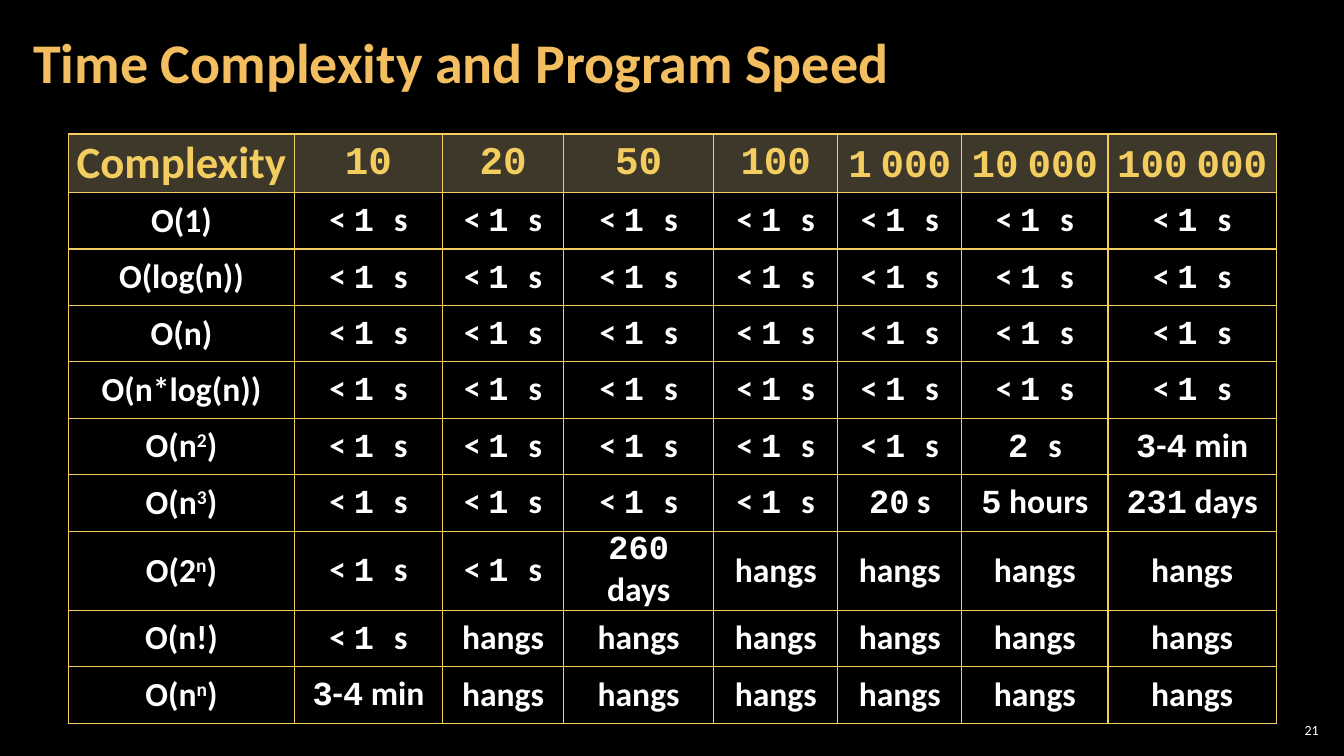
from lxml import etree
from pptx import Presentation
from pptx.dml.color import RGBColor
from pptx.enum.text import MSO_ANCHOR, MSO_AUTO_SIZE, PP_ALIGN
from pptx.oxml.ns import qn
from pptx.util import Inches, Pt

MIDDLE = MSO_ANCHOR.MIDDLE
NO_FIT = MSO_AUTO_SIZE.NONE
LEFT, CENTER, RIGHT = PP_ALIGN.LEFT, PP_ALIGN.CENTER, PP_ALIGN.RIGHT

BLACK = RGBColor(0x00, 0x00, 0x00)
WHITE = RGBColor(0xFF, 0xFF, 0xFF)
ORANGE = RGBColor(0xF3, 0xBE, 0x60)
GOLD = RGBColor(0xF3, 0xCD, 0x60)
OLIVE = RGBColor(0x7C, 0x71, 0x54)
SANS, MONO = "Calibri", "Courier New"

# Backticks enclose monospaced text, carets enclose superscripts.
FAST, MINUTES, HANGS = "< `1 `s", "`3`-`4` min", "hangs"
HEADERS = ["Complexity", "`10`", "`20`", "`50`", "`100`",
           "`1` `000`", "`10` `000`", "`100` `000`"]
ROWS = [
    *([name] + [FAST] * 7 for name in ("O(1)", "O(log(n))", "O(n)", "O(n*log(n))")),
    ["O(n^2^)"] + [FAST] * 5 + ["`2 `s", MINUTES],
    ["O(n^3^)"] + [FAST] * 4 + ["`20` s", "`5` hours", "`231` days"],
    ["O(2^n^)"] + [FAST] * 2 + ["`260 `days"] + [HANGS] * 4,
    ["O(n!)", FAST] + [HANGS] * 6,
    ["O(n^n^)", MINUTES] + [HANGS] * 6,
]
COL_WIDTHS = [2.24, 1.47, 1.2, 1.49, 1.23, 1.23, 1.45, 1.67]
HEADER_HEIGHT, ROW_HEIGHT = 0.58, 0.56


def style_font(font, size, color, bold):
    font.name, font.size, font.bold = SANS, Pt(size), bold
    font.color.rgb = color


def set_frame(tf, side):
    tf.word_wrap = True
    tf.auto_size = NO_FIT
    tf.vertical_anchor = MIDDLE
    tf.margin_left = tf.margin_right = Inches(side)
    tf.margin_top = tf.margin_bottom = Inches(0.04)


def add_title(s, left, top, width, height):
    title = s.shapes.title
    title.left, title.top = Inches(left), Inches(top)
    title.width, title.height = Inches(width), Inches(height)
    set_frame(title.text_frame, 0.12)
    p = title.text_frame.paragraphs[0]
    p.text = "Time Complexity and Program Speed"
    p.alignment, p.line_spacing = LEFT, 0.9
    style_font(p.font, 40, ORANGE, True)


def add_slide_number(s, left, top, width, height):
    box = s.shapes.add_textbox(Inches(left), Inches(top), Inches(width), Inches(height))
    set_frame(box.text_frame, 0.04)
    p = box.text_frame.paragraphs[0]
    p.text = "21"
    p.alignment = RIGHT
    style_font(p.font, 10, WHITE, False)


def write_marked(p, text, size, color):
    """Write text as runs, switching font at backticks and baseline at carets."""
    for i, part in enumerate(text.split("`")):
        for j, piece in enumerate(part.split("^")):
            if not piece:
                continue
            r = p.add_run()
            r.text = piece
            style_font(r.font, size, color, True)
            if i % 2:
                r.font.name = MONO
            if j % 2:
                r.font._element.set("baseline", "30000")


def add_borders(cell):
    tc_pr = cell._tc.get_or_add_tcPr()
    for side in ("lnL", "lnR", "lnT", "lnB"):
        ln = etree.SubElement(tc_pr, qn(f"a:{side}"), w=str(Pt(1)))
        fill = etree.SubElement(ln, qn("a:solidFill"))
        etree.SubElement(fill, qn("a:srgbClr"), val=str(GOLD))


def format_cell(cell):
    cell.vertical_anchor = MIDDLE
    cell.margin_left = cell.margin_right = Inches(0.07)
    cell.margin_top = cell.margin_bottom = 0
    add_borders(cell)


def fill_header(cell, text):
    cell.fill.solid()
    cell.fill.fore_color.rgb = OLIVE
    color = cell._tc.tcPr.find(f"{qn('a:solidFill')}/{qn('a:srgbClr')}")
    etree.SubElement(color, qn("a:alpha"), val="50000")
    p = cell.text_frame.paragraphs[0]
    p.alignment, p.line_spacing, p.space_before = CENTER, 0.95, Pt(0)
    before = p._p.pPr.find(qn("a:spcBef"))
    before.remove(before[0])
    etree.SubElement(before, qn("a:spcPct"), val="40000")
    write_marked(p, text, 28 if "`" in text else 32, GOLD)


def fill_body(cell, text):
    cell.fill.background()
    p = cell.text_frame.paragraphs[0]
    p.alignment = CENTER
    p.space_before = p.space_after = Pt(3)
    write_marked(p, text, 24, WHITE)


def add_speed_table(s, left, top):
    heights = [HEADER_HEIGHT] + [ROW_HEIGHT] * len(ROWS)
    table = s.shapes.add_table(
        len(heights), len(COL_WIDTHS), Inches(left), Inches(top),
        Inches(sum(COL_WIDTHS)), Inches(sum(heights))).table
    table.first_row = table.horz_banding = False
    for col, width in zip(table.columns, COL_WIDTHS):
        col.width = Inches(width)
    for i, texts in enumerate([HEADERS] + ROWS):
        table.rows[i].height = Inches(heights[i])
        for j, text in enumerate(texts):
            cell = table.cell(i, j)
            format_cell(cell)
            if i == 0:
                fill_header(cell, text)
            else:
                fill_body(cell, text)


def main():
    prs = Presentation()
    prs.slide_width, prs.slide_height = Inches(13.33), Inches(7.5)
    s = prs.slides.add_slide(prs.slide_layouts[5])
    s.background.fill.solid()
    s.background.fill.fore_color.rgb = BLACK
    add_slide_number(s, 12.65, 7.14, 0.47, 0.21)
    add_title(s, 0.21, 0.04, 10.47, 1.21)
    add_speed_table(s, 0.68, 1.33)
    prs.save("out.pptx")


if __name__ == "__main__":
    main()
